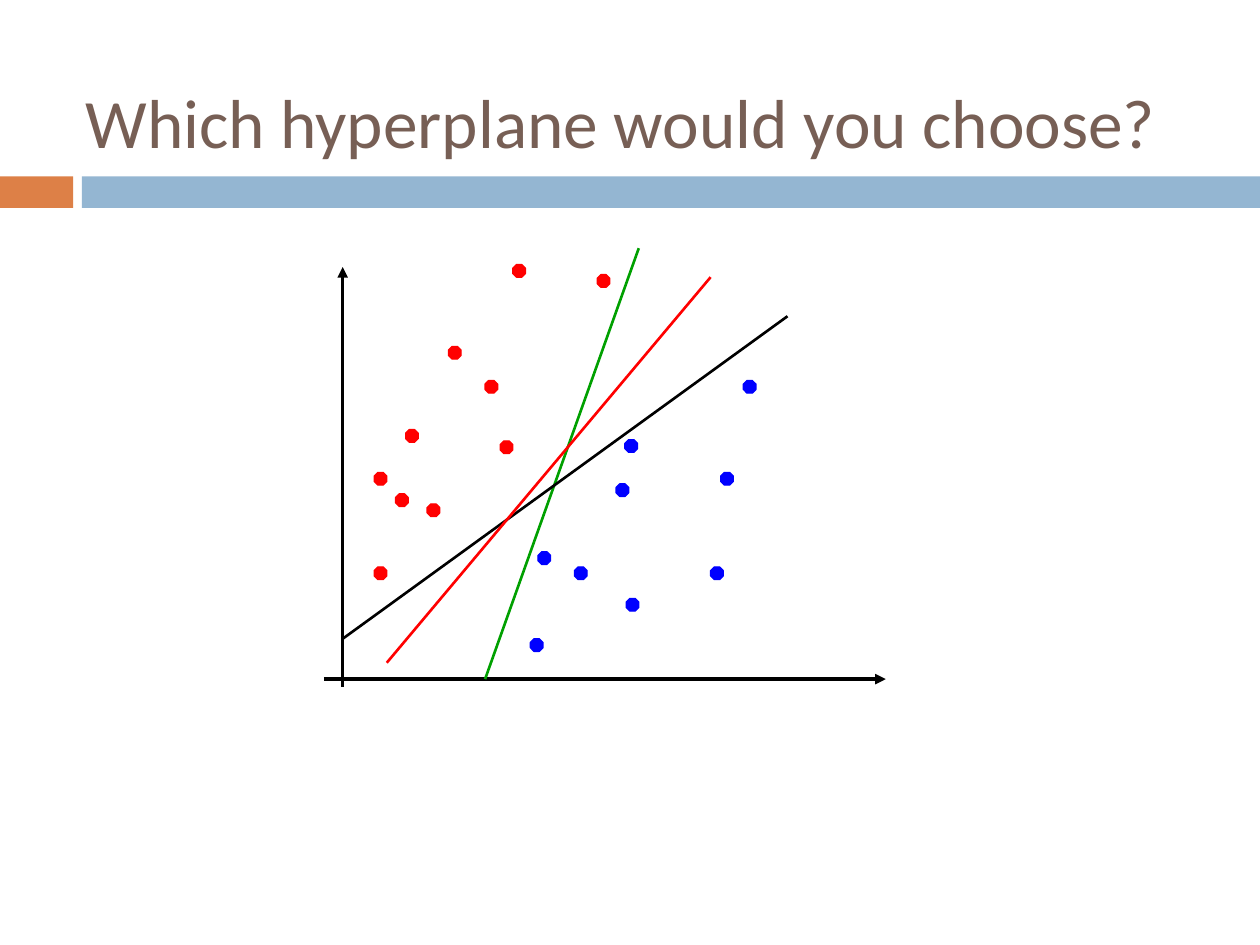
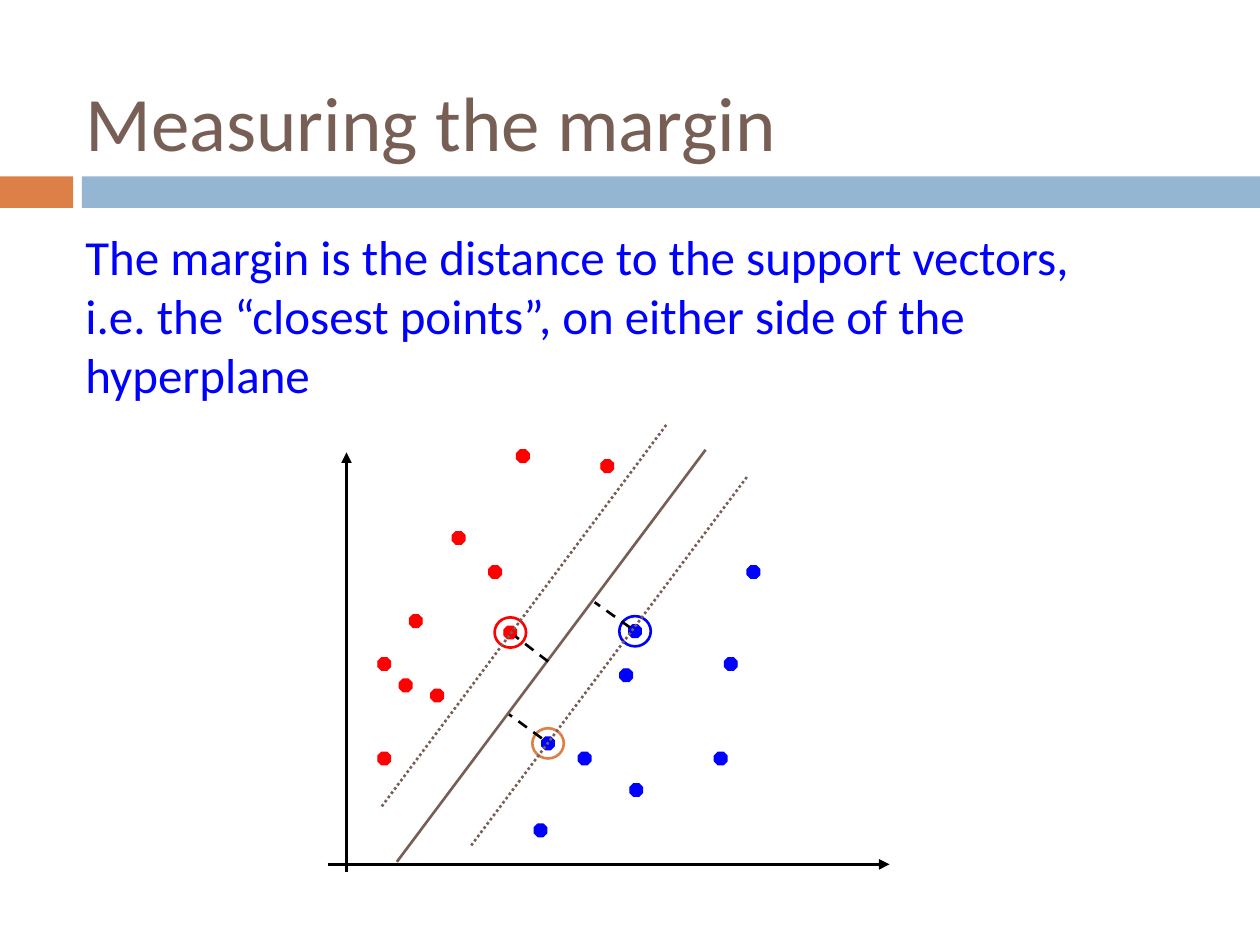
"""Builds two slides on choosing a separating hyperplane and measuring its margin."""
from lxml import etree
from pptx import Presentation
from pptx.dml.color import RGBColor
from pptx.enum.dml import MSO_LINE
from pptx.enum.shapes import MSO_CONNECTOR, MSO_SHAPE
from pptx.enum.text import MSO_ANCHOR
from pptx.oxml.ns import qn
from pptx.util import Inches, Pt

RECT, OCTAGON, OVAL = MSO_SHAPE.RECTANGLE, MSO_SHAPE.OCTAGON, MSO_SHAPE.OVAL
STRAIGHT = MSO_CONNECTOR.STRAIGHT
DASH, DOTS = MSO_LINE.DASH, MSO_LINE.ROUND_DOT
TOP, MIDDLE = MSO_ANCHOR.TOP, MSO_ANCHOR.MIDDLE

FONT = "Calibri"
BROWN, ORANGE, SKY = "775F55", "DD8047", "94B6D2"
RED, BLUE, GREEN, BLACK = "FF0000", "0000FF", "00A000", "000000"

WIDTH, HEIGHT = 10, 7.5
LEFT, GAP = 0.58, 0.07
BAND_TOP, BAND_HEIGHT = 1.4, 0.25
DOT = 0.1
RING = (0.25, 0.24)

RED_SUPPORT, BLUE_SUPPORT, LOW_SUPPORT = (1.3, 1.84), (2.29, 1.85), (1.6, 0.96)
POINTS = {
    RED: [(1.18, 2.32), (0.55, 1.93), (0.72, 1.34), (0.3, 0.84), (0.89, 2.59),
          (0.3, 1.59), (0.47, 1.42), RED_SUPPORT, (1.4, 3.24), (2.07, 3.16)],
    BLUE: [BLUE_SUPPORT, (1.89, 0.84), (2.97, 0.84), (1.54, 0.27), (2.22, 1.5),
           LOW_SUPPORT, (2.3, 0.59), (3.05, 1.59), (3.23, 2.32)],
}
AXES = [((0, -0.06), (0, 3.27)), ((-0.15, 0), (4.31, 0))]

SLIDES = [
    dict(title="Which hyperplane would you choose?", size=39.6, body=None,
         origin=(2.72, 5.39), rings=[],
         lines=[((1.13, 0), (2.35, 3.42), GREEN, None),
                ((0, 0.32), (3.53, 2.88), BLACK, None),
                ((0.35, 0.13), (2.92, 3.19), RED, None)]),
    dict(title="Measuring the margin", size=44,
         body="The margin is the distance to the support vectors, i.e. the "
              "“closest points”, on either side of the hyperplane",
         origin=(2.75, 6.86),
         rings=[(RED_SUPPORT, RED), (LOW_SUPPORT, ORANGE), (BLUE_SUPPORT, BLUE)],
         lines=[((0.4, 0.02), (2.85, 3.29), BROWN, None),
                ((2.25, 1.88), (1.97, 2.08), BLACK, DASH),
                ((1.55, 1), (1.29, 1.19), BLACK, DASH),
                ((1.6, 1.61), (1.34, 1.81), BLACK, DASH),
                ((0.99, 0.15), (3.19, 3.09), BROWN, DOTS),
                ((0.28, 0.46), (2.54, 3.49), BROWN, DOTS)]),
]


def rgb(color):
    return RGBColor.from_string(color)


def add_text(s, text, box, size, color, anchor=TOP):
    tf = s.shapes.add_textbox(*map(Inches, box)).text_frame
    tf.word_wrap = True
    tf.vertical_anchor = anchor
    r = tf.paragraphs[0].add_run()
    r.text = text
    r.font.name, r.font.size = FONT, Pt(size)
    r.font.color.rgb = rgb(color)


def add_shape(s, kind, box, fill=None, line=None, weight=0.75):
    sp = s.shapes.add_shape(kind, *map(Inches, box))
    sp.shadow.inherit = False
    if fill:
        sp.fill.solid()
        sp.fill.fore_color.rgb = rgb(fill)
    else:
        sp.fill.background()
    if line:
        sp.line.color.rgb = rgb(line)
        sp.line.width = Pt(weight)
    else:
        sp.line.fill.background()
    return sp


def on_slide(point, origin):
    return origin[0] + point[0], origin[1] - point[1]


def add_line(s, origin, start, end, color, dash=None, weight=1.5, arrow=False):
    ends = on_slide(start, origin) + on_slide(end, origin)
    cxn = s.shapes.add_connector(STRAIGHT, *map(Inches, ends))
    cxn.line.color.rgb = rgb(color)
    cxn.line.width = Pt(weight)
    if dash:
        cxn.line.dash_style = dash
    if arrow:
        etree.SubElement(cxn.line._get_or_add_ln(), qn("a:tailEnd"), type="triangle")
    etree.SubElement(cxn._element.spPr, qn("a:effectLst"))


def add_marker(s, kind, origin, point, size, **style):
    x, y = on_slide(point, origin)
    w, h = size
    return add_shape(s, kind, (x - w / 2, y - h / 2, w, h), **style)


def add_frame(s, title, size):
    band_left = LEFT + GAP
    add_shape(s, RECT, (0, BAND_TOP, LEFT, BAND_HEIGHT), fill=ORANGE)
    add_shape(s, RECT, (band_left, BAND_TOP, WIDTH - band_left, BAND_HEIGHT), fill=SKY)
    add_text(s, title, (LEFT, 0.42, 8.83, 1.08), size, BROWN, anchor=MIDDLE)


def add_plot(s, origin, lines, rings):
    for start, end in AXES:
        add_line(s, origin, start, end, BLACK, weight=2, arrow=True)
    for color, points in POINTS.items():
        for point in points:
            sp = add_marker(s, OCTAGON, origin, point, (DOT, DOT), fill=color, line=color)
            sp.adjustments[0] = 0.29
    for point, color in rings:
        add_marker(s, OVAL, origin, point, RING, line=color, weight=1.5)
    for line in lines:
        add_line(s, origin, *line)


def main():
    prs = Presentation()
    prs.slide_width, prs.slide_height = Inches(WIDTH), Inches(HEIGHT)
    for spec in SLIDES:
        s = prs.slides.add_slide(prs.slide_layouts[6])
        add_frame(s, spec["title"], spec["size"])
        if spec["body"]:
            add_text(s, spec["body"], (LEFT, 1.75, 8.46, 1.04), 28, BLUE)
        add_plot(s, spec["origin"], spec["lines"], spec["rings"])
    prs.save("out.pptx")


if __name__ == "__main__":
    main()
